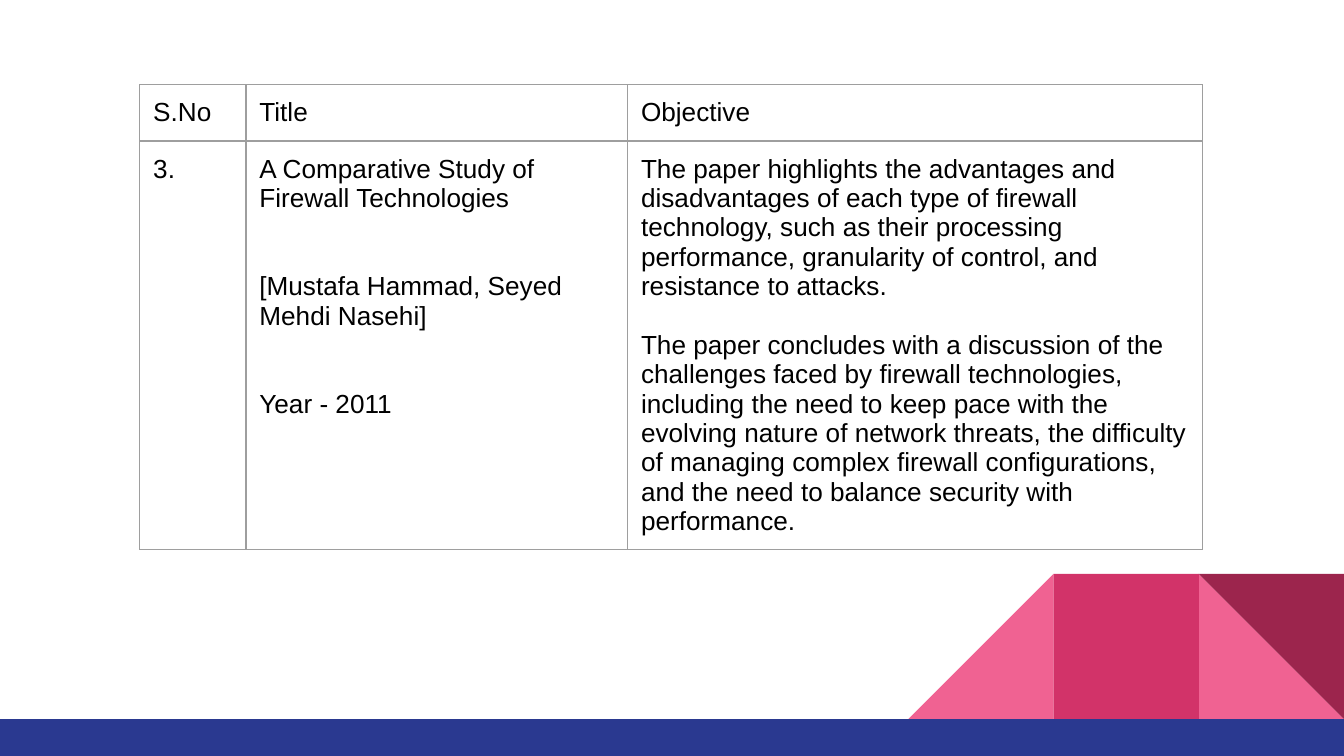
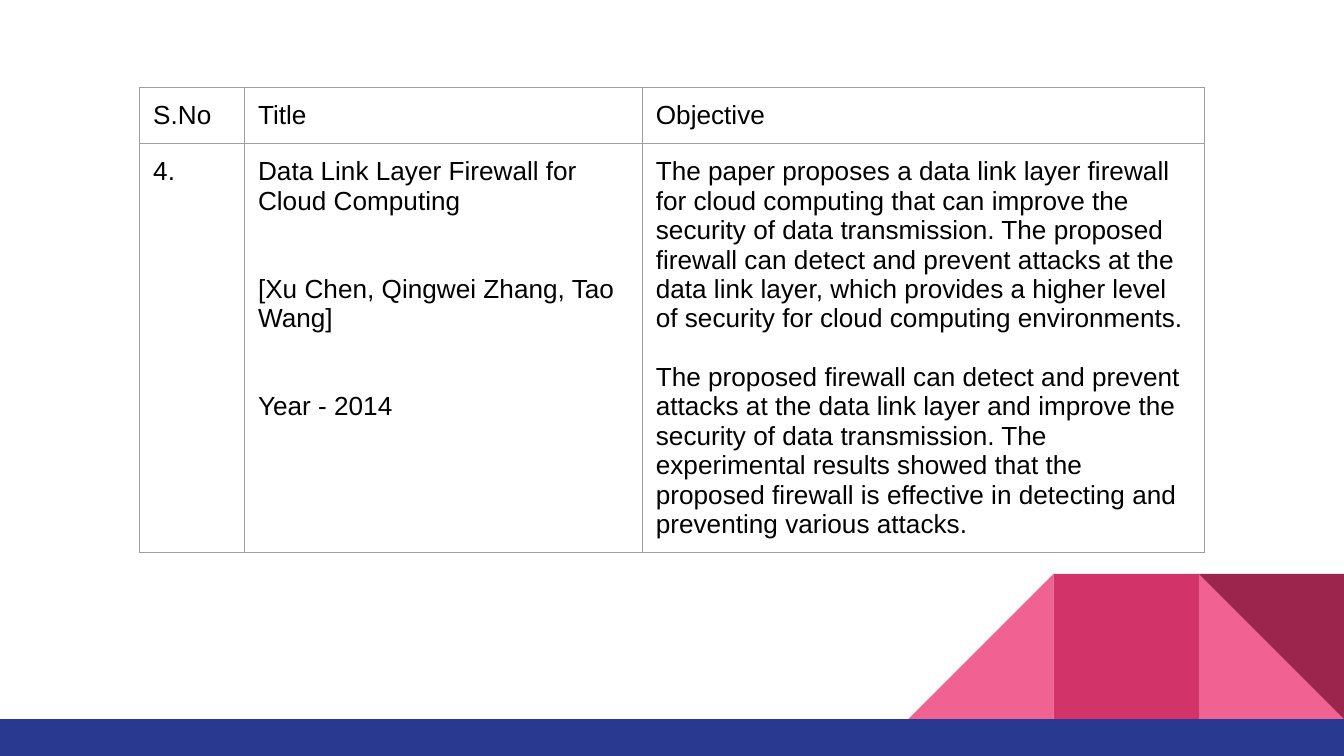
from lxml.etree import SubElement
from pptx import Presentation
from pptx.dml.color import RGBColor
from pptx.enum.shapes import MSO_SHAPE
from pptx.oxml import parse_xml
from pptx.oxml.ns import nsdecls, qn
from pptx.util import Inches, Pt

COLORS = {
    "background": "FFFFFF",
    "text": "000000",
    "border": "9E9E9E",
    "light_pink": "F06292",
    "pink": "D23369",
    "dark_pink": "9C254D",
    "band": "2A3990",
}
WIDTH = 10
HEIGHT = WIDTH * 9 / 16
TILE = 1.08
BAND_TOP = 5.35
TILE_TOP = BAND_TOP - TILE
TABLE_LEFT = 1.04
ROW_HEIGHTS = [0.42, 3.04]
LINE_SPACE = 15.75
HEADINGS = ["S.No", "Title", "Objective"]
GAPS = [0, 2 * LINE_SPACE, LINE_SPACE]

DECORATIONS = [
    (MSO_SHAPE.RIGHT_TRIANGLE, WIDTH - TILE, "light_pink", False, 0),
    (MSO_SHAPE.RIGHT_TRIANGLE, WIDTH - 3 * TILE, "light_pink", True, 0),
    (MSO_SHAPE.RECTANGLE, WIDTH - 2 * TILE, "pink", False, 0),
    (MSO_SHAPE.RIGHT_TRIANGLE, WIDTH - TILE, "dark_pink", False, 180),
]

PAPERS = [
    {
        "top": 0.63,
        "columns": [0.79, 2.84, 4.28],
        "cells": [
            ["3."],
            [
                "A Comparative Study of Firewall Technologies",
                "[Mustafa Hammad, Seyed Mehdi Nasehi]",
                "Year - 2011",
            ],
            [
                "The paper highlights the advantages and disadvantages of each type of "
                "firewall technology, such as their processing performance, granularity "
                "of control, and resistance to attacks.",
                "The paper concludes with a discussion of the challenges faced by "
                "firewall technologies, including the need to keep pace with the "
                "evolving nature of network threats, the difficulty of managing complex "
                "firewall configurations, and the need to balance security with "
                "performance.",
            ],
        ],
    },
    {
        "top": 0.65,
        "columns": [0.78, 2.96, 4.18],
        "cells": [
            ["4."],
            [
                "Data Link Layer Firewall for Cloud Computing",
                "[Xu Chen, Qingwei Zhang, Tao Wang]",
                "Year - 2014",
            ],
            [
                "The paper proposes a data link layer firewall for cloud computing that "
                "can improve the security of data transmission. The proposed firewall "
                "can detect and prevent attacks at the data link layer, which provides "
                "a higher level of security for cloud computing environments.",
                "The proposed firewall can detect and prevent attacks at the data link "
                "layer and improve the security of data transmission. The experimental "
                "results showed that the proposed firewall is effective in detecting "
                "and preventing various attacks.",
            ],
        ],
    },
]


def add_filled_shape(slide, kind, left, top, width, height, color):
    shape = slide.shapes.add_shape(
        kind, Inches(left), Inches(top), Inches(width), Inches(height)
    )
    shape.shadow.inherit = False
    shape.fill.solid()
    shape.fill.fore_color.rgb = RGBColor.from_string(COLORS[color])
    shape.line.fill.background()
    return shape


def fill_cell(cell, texts, gap):
    cell.margin_left = cell.margin_right = Inches(0.1)
    cell.margin_top = cell.margin_bottom = Inches(0.1)
    cell.fill.background()
    properties = cell._tc.get_or_add_tcPr()
    for position, side in enumerate(["lnL", "lnR", "lnT", "lnB"]):
        border = parse_xml(f'<a:{side} {nsdecls("a")} w="{Pt(0.75)}"/>')
        fill = SubElement(border, qn("a:solidFill"))
        SubElement(fill, qn("a:srgbClr"), val=COLORS["border"])
        properties.insert(position, border)
    cell.text = "\n".join(texts)
    for index, paragraph in enumerate(cell.text_frame.paragraphs):
        paragraph.font.name = "Arial"
        paragraph.font.size = Pt(14)
        paragraph.font.color.rgb = RGBColor.from_string(COLORS["text"])
        if index:
            paragraph.space_before = Pt(gap)


presentation = Presentation()
presentation.slide_width = Inches(WIDTH)
presentation.slide_height = Inches(HEIGHT)
background = presentation.slide_master.background.fill
background.solid()
background.fore_color.rgb = RGBColor.from_string(COLORS["background"])
blank_layout = presentation.slide_layouts[6]

for paper in PAPERS:
    slide = presentation.slides.add_slide(blank_layout)
    for kind, left, color, flipped, rotation in DECORATIONS:
        shape = add_filled_shape(slide, kind, left, TILE_TOP, TILE, TILE, color)
        shape.rotation = rotation
        if flipped:
            shape.element.spPr.xfrm.set("flipH", "1")
    add_filled_shape(
        slide, MSO_SHAPE.RECTANGLE, 0, BAND_TOP, WIDTH, HEIGHT - BAND_TOP, "band"
    )

    table = slide.shapes.add_table(
        len(ROW_HEIGHTS),
        len(HEADINGS),
        Inches(TABLE_LEFT),
        Inches(paper["top"]),
        Inches(sum(paper["columns"])),
        Inches(sum(ROW_HEIGHTS)),
    ).table
    table.first_row = table.horz_banding = False
    for row, height in zip(table.rows, ROW_HEIGHTS):
        row.height = Inches(height)
    for index, width in enumerate(paper["columns"]):
        table.columns[index].width = Inches(width)
        fill_cell(table.cell(0, index), [HEADINGS[index]], 0)
        fill_cell(table.cell(1, index), paper["cells"][index], GAPS[index])

presentation.save("out.pptx")
